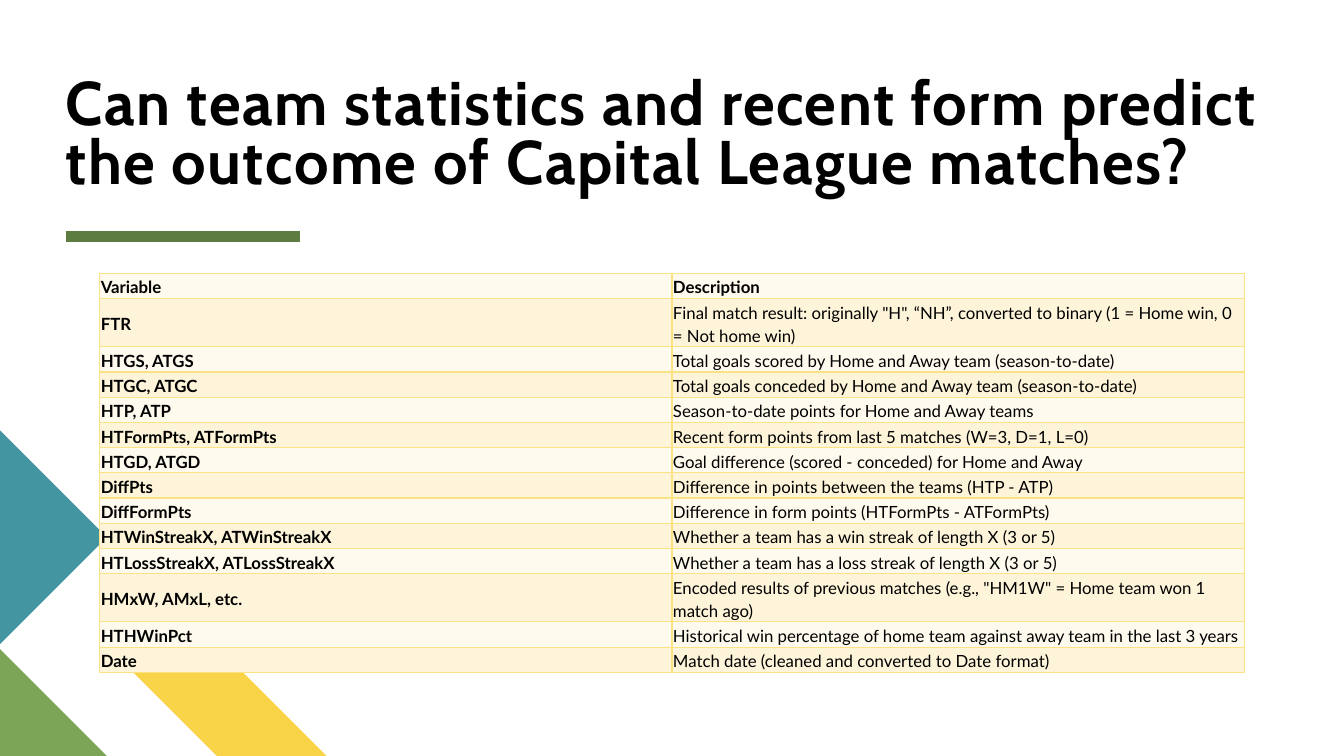
from lxml.etree import SubElement
from pptx import Presentation
from pptx.dml.color import RGBColor
from pptx.enum.shapes import MSO_CONNECTOR
from pptx.enum.text import MSO_ANCHOR
from pptx.oxml.ns import qn
from pptx.util import Pt

COLORS = {
    "text": "000000",
    "rule": "5D7D40",
    "yellow": "F9D448",
    "green": "7CA655",
    "teal": "4495A2",
    "border": "FBE284",
    "light": "FEFAED",
    "dark": "FDF4D9",
}
TITLE = "Can team statistics and recent form predict the outcome of Capital League matches?"
VARIABLES = [
    ("Variable", "Description"),
    ("FTR", 'Final match result: originally "H", “NH”, converted to binary (1 = Home win, 0 = Not home win)'),
    ("HTGS, ATGS", "Total goals scored by Home and Away team (season-to-date)"),
    ("HTGC, ATGC", "Total goals conceded by Home and Away team (season-to-date)"),
    ("HTP, ATP", "Season-to-date points for Home and Away teams"),
    ("HTFormPts, ATFormPts", "Recent form points from last 5 matches (W=3, D=1, L=0)"),
    ("HTGD, ATGD", "Goal difference (scored - conceded) for Home and Away"),
    ("DiffPts", "Difference in points between the teams (HTP - ATP)"),
    ("DiffFormPts", "Difference in form points (HTFormPts - ATFormPts)"),
    ("HTWinStreakX, ATWinStreakX", "Whether a team has a win streak of length X (3 or 5)"),
    ("HTLossStreakX, ATLossStreakX", "Whether a team has a loss streak of length X (3 or 5)"),
    ("HMxW, AMxL, etc.", 'Encoded results of previous matches (e.g., "HM1W" = Home team won 1 match ago)'),
    ("HTHWinPct", "Historical win percentage of home team against away team in the last 3 years"),
    ("Date", "Match date (cleaned and converted to Date format)"),
]
CORNER_SHAPES = [
    ("yellow", [(233.3, 540), (154.8, 540), (76.3, 461.5), (115.9, 422.6)]),
    ("green", [(76.3, 540), (0, 540), (0, 463.7)]),
    ("teal", [(0, 307.4), (76.3, 383.8), (0, 460.1)]),
]


def color(name):
    return RGBColor.from_string(COLORS[name])


def apply(target, values):
    for name, value in values.items():
        setattr(target, name, value)


class SlideBuilder:
    title_font = {"name": "Cabin", "size": Pt(44), "bold": True}
    cell_font = {"name": "Lato", "size": Pt(12)}
    cell_format = {
        "vertical_anchor": MSO_ANCHOR.MIDDLE,
        **{f"margin_{side}": Pt(0.72) for side in ("left", "right", "top", "bottom")},
    }

    def __init__(self, page):
        self.page = page

    def add_span(self, para, text, font):
        span = para.add_run()
        span.text = text
        apply(span.font, font)
        span.font.color.rgb = color("text")
        return span

    def title(self, text, left, top, width, height):
        box = self.page.shapes.add_textbox(Pt(left), Pt(top), Pt(width), Pt(height))
        frame = box.text_frame
        apply(frame, {
            "word_wrap": True, "vertical_anchor": MSO_ANCHOR.BOTTOM,
            "margin_left": 0, "margin_right": 0, "margin_top": 0, "margin_bottom": 0,
        })
        para = frame.paragraphs[0]
        para.line_spacing = 0.8
        span = self.add_span(para, text, self.title_font)
        span._r.get_or_add_rPr().set("spc", "100")

    def rule(self, left, right, y, weight):
        line = self.page.shapes.add_connector(
            MSO_CONNECTOR.STRAIGHT, Pt(left), Pt(y), Pt(right), Pt(y))
        line.line.color.rgb = color("rule")
        line.line.width = Pt(weight)
        SubElement(line._element.spPr, qn("a:effectLst"))

    def polygon(self, points, fill):
        corners = [(Pt(x), Pt(y)) for x, y in points]
        builder = self.page.shapes.build_freeform(*corners[0])
        builder.add_line_segments(corners[1:], close=True)
        shape = builder.convert_to_shape()
        shape.shadow.inherit = False
        shape.fill.solid()
        shape.fill.fore_color.rgb = color(fill)
        shape.line.fill.background()

    def cell_borders(self, cell):
        properties = cell._tc.get_or_add_tcPr()
        for side in ("lnL", "lnR", "lnT", "lnB"):
            line = SubElement(properties, qn(f"a:{side}"), w=str(Pt(1)))
            fill = SubElement(line, qn("a:solidFill"))
            SubElement(fill, qn("a:srgbClr"), val=COLORS["border"])

    def cell(self, cell, text, fill, bold):
        apply(cell, self.cell_format)
        self.cell_borders(cell)
        cell.fill.solid()
        cell.fill.fore_color.rgb = color(fill)
        para = cell.text_frame.paragraphs[0]
        apply(para, {"line_spacing": 1.15, "space_after": Pt(8)})
        self.add_span(para, text, {**self.cell_font, "bold": bold})

    def table(self, rows, left, top, width, row_height):
        """Rows whose text wraps grow beyond row_height when drawn."""
        frame = self.page.shapes.add_table(
            len(rows), len(rows[0]), Pt(left), Pt(top), Pt(width), Pt(row_height * len(rows)))
        table = frame.table
        for row_index, texts in enumerate(rows):
            table.rows[row_index].height = Pt(row_height)
            fill = "dark" if row_index % 2 else "light"
            for column_index, text in enumerate(texts):
                bold = row_index == 0 or column_index == 0
                self.cell(table.cell(row_index, column_index), text, fill, bold)


def main():
    deck = Presentation()
    apply(deck, {"slide_width": Pt(960), "slide_height": Pt(540)})
    builder = SlideBuilder(deck.slides.add_slide(deck.slide_layouts[6]))
    builder.rule(46.8, 214.6, 169.2, 8)
    builder.title(TITLE, 46.8, 7.9, 856.1, 132.5)
    for fill, points in CORNER_SHAPES:
        builder.polygon(points, fill)
    builder.table(VARIABLES, 71.3, 195.1, 817.4, 18)
    deck.save("out.pptx")


if __name__ == "__main__":
    main()
